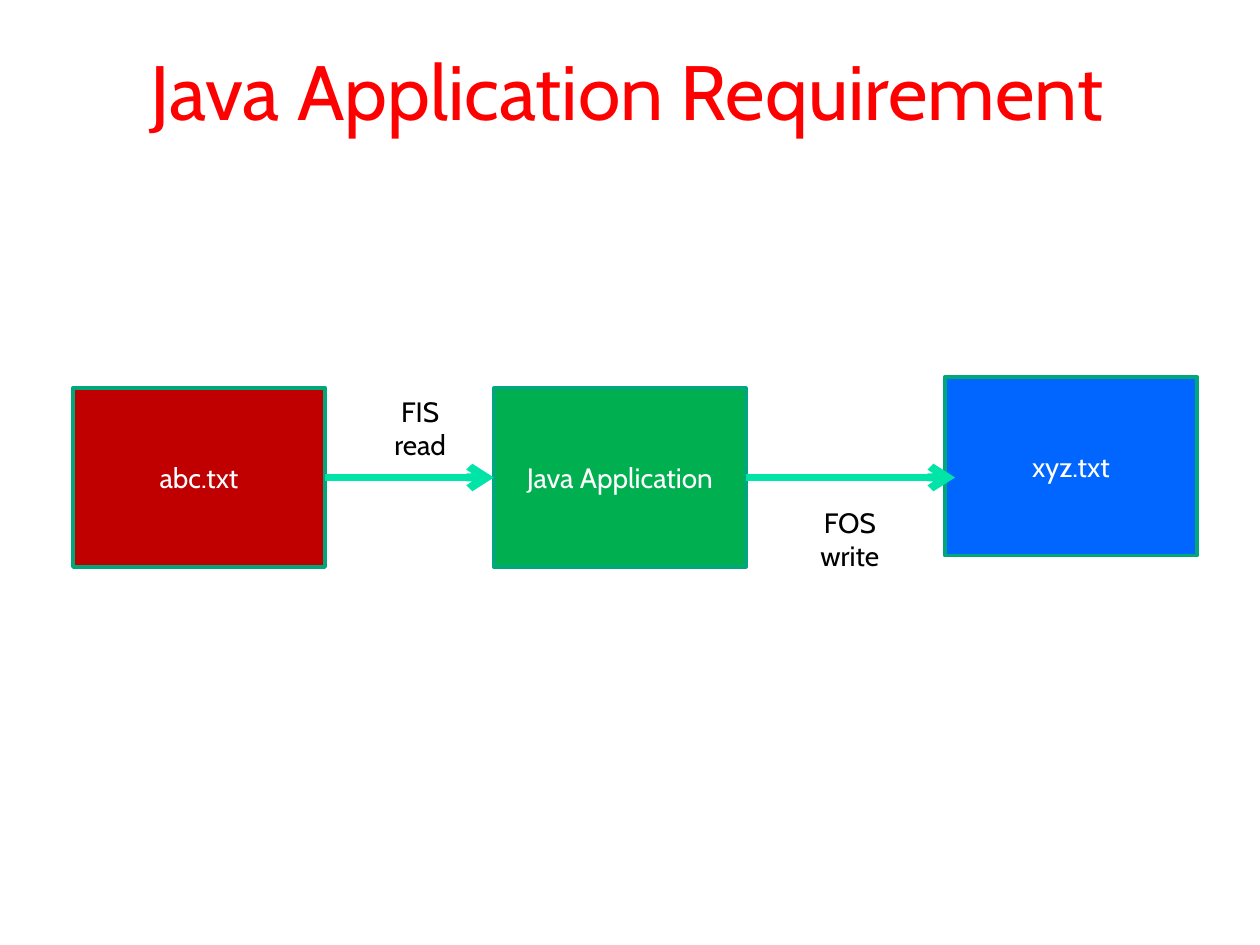
from lxml.etree import SubElement
from pptx import Presentation
from pptx.dml.color import RGBColor
from pptx.enum.shapes import MSO_CONNECTOR as Connector, MSO_SHAPE as Shape
from pptx.enum.text import MSO_ANCHOR as Anchor, MSO_AUTO_SIZE as AutoSize, PP_ALIGN as Align
from pptx.oxml.ns import qn
from pptx.util import Inches, Pt


def color(value):
    return RGBColor.from_string(value)


class FlowSlide:
    font = "Cabin"
    text_size = 16
    border = "00A77A"
    arrow_color = "00E4A7"
    box_width = 2
    box_height = 1.42

    def __init__(self, deck):
        self.page = deck.slides.add_slide(deck.slide_layouts[5])

    def set_text(self, frame, text, size, text_color, anchor):
        frame.text = text
        frame.word_wrap = True
        frame.vertical_anchor = anchor
        for para in frame.paragraphs:
            para.alignment = Align.CENTER
            for span in para.runs:
                span.font.name = self.font
                span.font.size = Pt(size)
                span.font.color.rgb = color(text_color)

    def title(self, text):
        title = self.page.shapes.title
        title.left, title.top = Inches(0.17), Inches(0.17)
        title.width, title.height = Inches(9.62), Inches(1.08)
        title.fill.solid()
        title.fill.fore_color.rgb = color("FFFFFF")
        self.set_text(title.text_frame, text, 44, "FF0000", Anchor.MIDDLE)
        title.text_frame.auto_size = AutoSize.NONE

    def box(self, text, left, top, fill):
        box = self.page.shapes.add_shape(
            Shape.RECTANGLE, Inches(left), Inches(top),
            Inches(self.box_width), Inches(self.box_height))
        box.shadow.inherit = False
        box.fill.solid()
        box.fill.fore_color.rgb = color(fill)
        box.line.color.rgb = color(self.border)
        box.line.width = Pt(2)
        self.set_text(box.text_frame, text, self.text_size, "FFFFFF", Anchor.MIDDLE)

    def arrow(self, start, end, y):
        arrow = self.page.shapes.add_connector(
            Connector.STRAIGHT, Inches(start), Inches(y), Inches(end), Inches(y))
        arrow.line.color.rgb = color(self.arrow_color)
        arrow.line.width = Pt(4.5)
        properties = arrow._element.spPr
        SubElement(properties.get_or_add_ln(), qn("a:tailEnd"), type="arrow")
        SubElement(properties, qn("a:effectLst"))

    def label(self, text, left, top):
        label = self.page.shapes.add_textbox(
            Inches(left), Inches(top), Inches(0.83), Inches(0.64))
        self.set_text(label.text_frame, text, self.text_size, "000000", Anchor.TOP)
        label.text_frame.auto_size = AutoSize.SHAPE_TO_FIT_TEXT


def main():
    deck = Presentation()
    deck.slide_width, deck.slide_height = Inches(10), Inches(7.5)
    slide = FlowSlide(deck)
    slide.title("Java Application Requirement")
    for text, left, top, fill in (
        ("abc.txt", 0.58, 3.08, "C00000"),
        ("Java Application", 3.92, 3.08, "00B050"),
        ("xyz.txt", 7.5, 2.99, "0066FF"),
    ):
        slide.box(text, left, top, fill)
    for start, end in ((2.58, 3.92), (5.92, 7.58)):
        slide.arrow(start, end, 3.79)
    slide.label("FIS\nread", 2.92, 3.08)
    slide.label("FOS\nwrite", 6.33, 3.96)
    deck.save("out.pptx")


if __name__ == "__main__":
    main()
